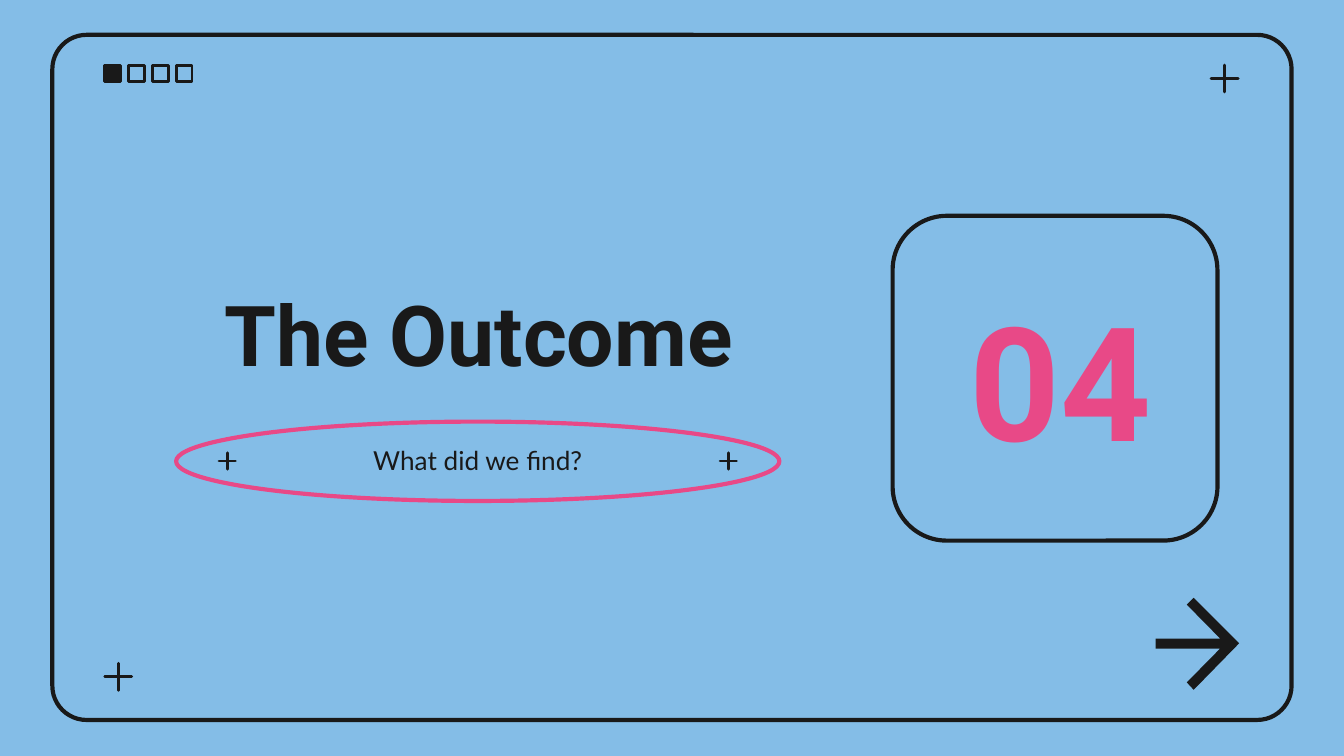
"""Build the section slide that opens the outcome chapter."""
from pptx import Presentation
from pptx.dml.color import RGBColor
from pptx.enum.shapes import MSO_SHAPE
from pptx.enum.text import MSO_ANCHOR, MSO_AUTO_SIZE, PP_ALIGN
from pptx.util import Cm, Pt

SKY = RGBColor(0x84, 0xBD, 0xE7)
INK = RGBColor(0x19, 0x19, 0x19)
PINK = RGBColor(0xE8, 0x49, 0x87)

TITLE_FONT = {"name": "Roboto", "size": Pt(45), "bold": True}
NUMBER_FONT = {"name": "Roboto", "size": Pt(85), "bold": True}
SUBTITLE_FONT = {"name": "Lato", "size": Pt(14), "bold": False}
ARROW_POINTS = [
    (22.56, 11.3), (22.43, 11.43), (23.06, 12.07), (21.84, 12.07), (21.84, 12.26),
    (23.06, 12.26), (22.43, 12.9), (22.56, 13.04), (23.42, 12.16),
]


class SectionSlide:
    """Hold the style and the current slide."""

    def __init__(self, presentation):
        self.slide = presentation.slides.add_slide(presentation.slide_layouts[0])
        self.shapes = self.slide.shapes
        background = self.slide.background.fill
        background.solid()
        background.fore_color.rgb = SKY

    def paint(self, shape, line=None, width=1.5, fill=None):
        shape.shadow.inherit = False
        if fill is None:
            shape.fill.background()
        else:
            shape.fill.solid()
            shape.fill.fore_color.rgb = fill
        if line is None:
            shape.line.fill.background()
        else:
            shape.line.color.rgb = line
            shape.line.width = Pt(width)

    def outline(self, kind, box, line=INK, width=2.25, fill=None, adjustment=None):
        shape = self.shapes.add_shape(kind, *map(Cm, box))
        if adjustment is not None:
            shape.adjustments[0] = adjustment
        self.paint(shape, line, width, fill)

    def plus(self, left, top, size):
        self.outline(MSO_SHAPE.STAR_4_POINT, (left, top, size, size), INK, 1.5, INK, 0)

    def polygon(self, points, fill):
        start, *corners = [(Cm(x), Cm(y)) for x, y in points]
        builder = self.shapes.build_freeform(*start)
        builder.add_line_segments(corners, close=True)
        self.paint(builder.convert_to_shape(), fill=fill)

    def text(self, shape, box, content, font, color=INK, side_inset=0.25):
        shape.left, shape.top, shape.width, shape.height = map(Cm, box)
        frame = shape.text_frame
        frame_format = {
            "word_wrap": True, "auto_size": MSO_AUTO_SIZE.NONE,
            "vertical_anchor": MSO_ANCHOR.MIDDLE,
            "margin_left": Cm(side_inset), "margin_right": Cm(side_inset),
            "margin_top": Cm(0.25), "margin_bottom": Cm(0.25),
        }
        for name, value in frame_format.items():
            setattr(frame, name, value)
        paragraph = frame.paragraphs[0]
        paragraph_format = {
            "text": content, "alignment": PP_ALIGN.CENTER,
            "line_spacing": 1.0, "space_before": Pt(0),
        }
        for name, value in paragraph_format.items():
            setattr(paragraph, name, value)
        run_font = paragraph.runs[0].font
        for name, value in font.items():
            setattr(run_font, name, value)
        run_font.color.rgb = color

    def text_box(self, box, *style):
        self.text(self.shapes.add_textbox(*map(Cm, box)), box, *style)


def main():
    presentation = Presentation()
    presentation.slide_width, presentation.slide_height = Cm(25.4), Cm(14.29)
    section = SectionSlide(presentation)

    section.outline(MSO_SHAPE.ROUNDED_RECTANGLE, (0.99, 0.66, 23.42, 12.95), adjustment=0.05)
    for index in range(4):
        section.outline(MSO_SHAPE.RECTANGLE, (1.98 + 0.45 * index, 1.24, 0.3, 0.3),
                        width=1.5, fill=None if index else INK)
    for left, top, size in [(1.98, 12.54, 0.51), (22.89, 1.23, 0.51),
                            (4.14, 8.56, 0.31), (13.61, 8.56, 0.31)]:
        section.plus(left, top, size)
    section.outline(MSO_SHAPE.OVAL, (3.33, 7.97, 11.4, 1.5), PINK)
    section.outline(MSO_SHAPE.ROUNDED_RECTANGLE, (16.87, 4.08, 6.14, 6.14), adjustment=0.167)
    section.polygon(ARROW_POINTS, INK)

    title, subtitle = section.slide.placeholders
    section.text(title, (2.34, 4.88, 13.41, 2.82), "The Outcome", TITLE_FONT)
    section.text(subtitle, (4.14, 8.13, 9.78, 1.14), "What did we find?", SUBTITLE_FONT)
    section.text_box((16.97, 4.75, 6.14, 4.8), "04", NUMBER_FONT, PINK, 0)

    presentation.save("out.pptx")


if __name__ == "__main__":
    main()
